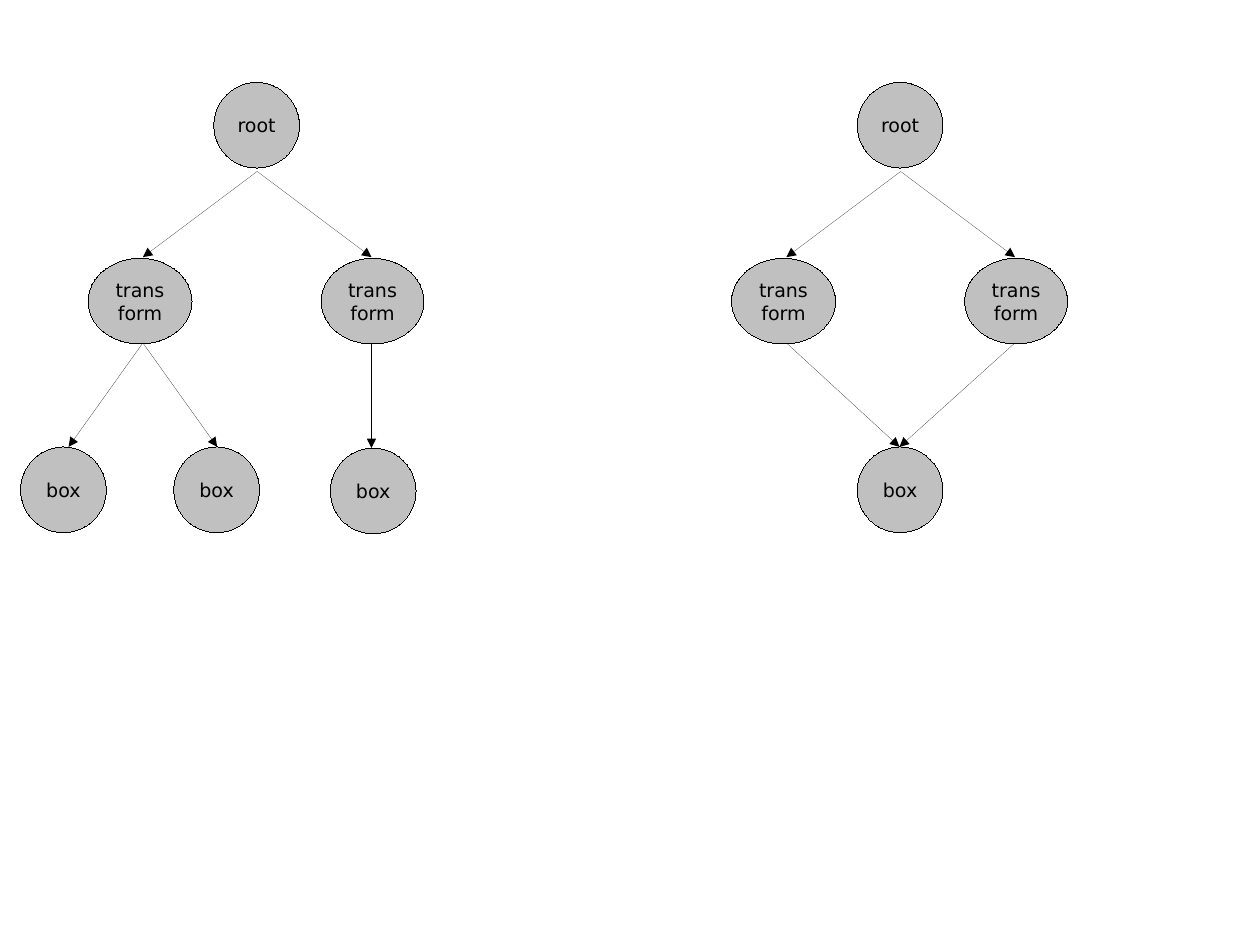
"""Draw a scene tree beside a scene graph that shares one box."""
from dataclasses import dataclass

from lxml import etree
from pptx import Presentation
from pptx.dml.color import RGBColor
from pptx.dml.line import LineFormat
from pptx.enum.shapes import MSO_CONNECTOR, MSO_SHAPE
from pptx.enum.text import MSO_ANCHOR, PP_ALIGN
from pptx.oxml.ns import qn
from pptx.slide import Slide
from pptx.util import Cm, Inches, Pt

OVAL = MSO_SHAPE.OVAL
STRAIGHT = MSO_CONNECTOR.STRAIGHT
MIDDLE = MSO_ANCHOR.MIDDLE
CENTER = PP_ALIGN.CENTER


@dataclass(frozen=True)
class Theme:
    ink: RGBColor = RGBColor(0, 0, 0)
    fill: RGBColor = RGBColor(0xC0, 0xC0, 0xC0)
    font: str = "DejaVu Sans"
    size: int = 12
    line: int = 0
    high: float = 0.75


@dataclass(frozen=True)
class Node:
    text: str
    left: float
    top: float
    width: float = 0.75


@dataclass(frozen=True)
class Arrow:
    x1: float
    y1: float
    x2: float
    y2: float


THEME = Theme()
SHIFT = 5.63
TOP_NODES = [
    Node("root", 1.87, 0.72),
    Node("transform", 0.77, 2.26, 0.91),
    Node("transform", 2.81, 2.26, 0.9),
]
TOP_ARROWS = [Arrow(2.25, 1.5, x, 2.25) for x in (1.25, 3.25)]
TREE_NODES = TOP_NODES + [
    Node("box", 0.18, 3.91),
    Node("box", 1.52, 3.91),
    Node("box", 2.89, 3.92),
]
TREE_ARROWS = TOP_ARROWS + [
    Arrow(1.25, 3, 0.6, 3.91),
    Arrow(1.25, 3, 1.9, 3.91),
    Arrow(3.25, 3, 3.25, 3.92),
]
GRAPH_NODES = TOP_NODES + [Node("box", 1.87, 3.91)]
GRAPH_ARROWS = TOP_ARROWS + [Arrow(x, 3, 2.24, 3.91) for x in (1.25, 3.25)]


def set_line(line: LineFormat) -> etree.ElementBase:
    line.color.rgb = THEME.ink
    props = line._get_or_add_ln()
    props.set("w", str(THEME.line))
    return props


def add_node(slide: Slide, node: Node, shift: float) -> None:
    shape = slide.shapes.add_shape(
        OVAL, Inches(node.left + shift), Inches(node.top),
        Inches(node.width), Inches(THEME.high))
    shape.shadow.inherit = False
    shape.fill.solid()
    shape.fill.fore_color.rgb = THEME.fill
    set_line(shape.line)
    frame = shape.text_frame
    frame.word_wrap = True
    frame.vertical_anchor = MIDDLE
    para = frame.paragraphs[0]
    para.text = node.text
    para.alignment = CENTER
    para.font.name = THEME.font
    para.font.size = Pt(THEME.size)
    para.font.color.rgb = THEME.ink


def add_arrow(slide: Slide, arrow: Arrow, shift: float) -> None:
    link = slide.shapes.add_connector(
        STRAIGHT, Inches(arrow.x1 + shift), Inches(arrow.y1),
        Inches(arrow.x2 + shift), Inches(arrow.y2))
    props = set_line(link.line)
    etree.SubElement(props, qn("a:tailEnd"), type="triangle")
    etree.SubElement(link._element.spPr, qn("a:effectLst"))


def add_graph(slide: Slide, nodes: list[Node], arrows: list[Arrow],
              shift: float = 0) -> None:
    for node in nodes:
        add_node(slide, node, shift)
    for arrow in arrows:
        add_arrow(slide, arrow, shift)


def main() -> None:
    deck = Presentation()
    deck.slide_width = Cm(28)
    deck.slide_height = Cm(21)
    slide = deck.slides.add_slide(deck.slide_layouts.get_by_name("Blank"))
    add_graph(slide, TREE_NODES, TREE_ARROWS)
    add_graph(slide, GRAPH_NODES, GRAPH_ARROWS, SHIFT)
    deck.save("out.pptx")


if __name__ == "__main__":
    main()
